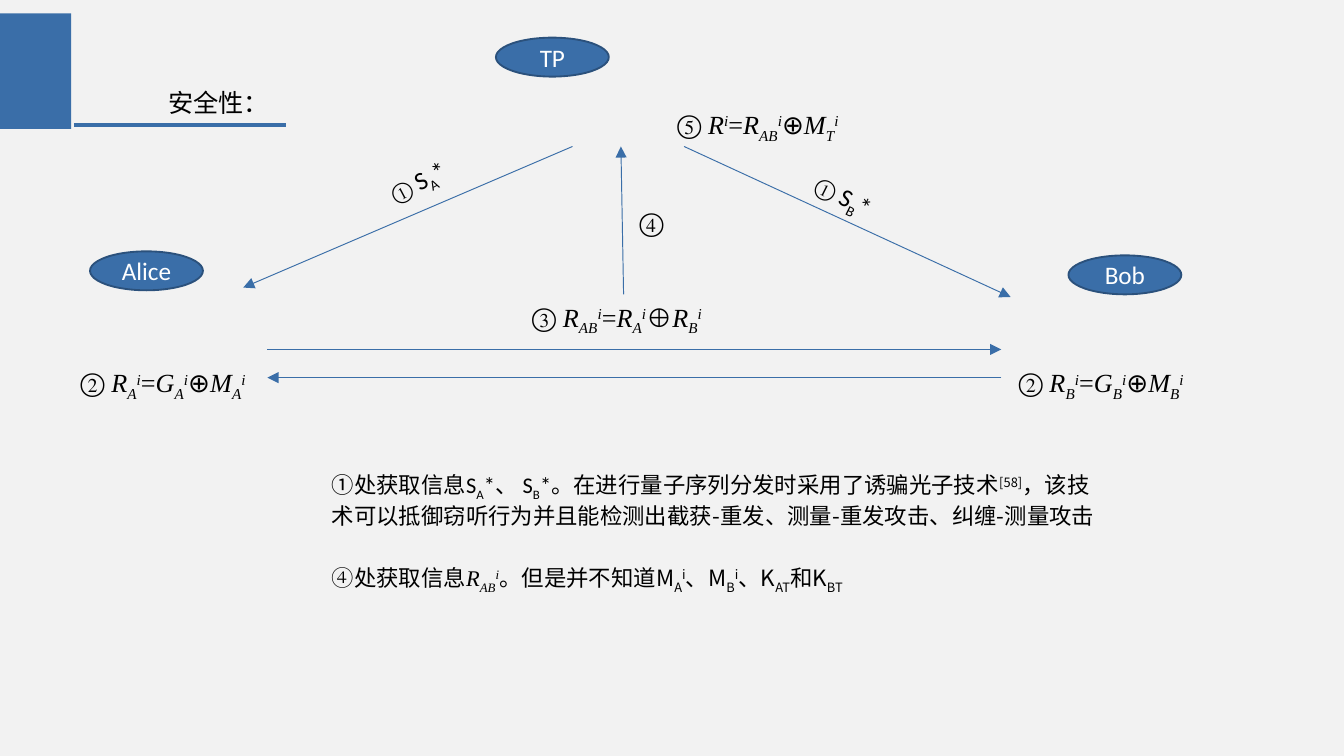
from dataclasses import dataclass

from lxml import etree
from pptx import Presentation
from pptx.dml.color import RGBColor
from pptx.enum import shapes, text
from pptx.oxml import ns
from pptx.util import Inches, Pt


@dataclass(frozen=True)
class Theme:
    background: RGBColor = RGBColor(0xF2, 0xF2, 0xF2)
    blue: RGBColor = RGBColor(0x3A, 0x6E, 0xA8)
    outline: RGBColor = RGBColor(0x2B, 0x51, 0x7C)
    black: RGBColor = RGBColor(0, 0, 0)
    white: RGBColor = RGBColor(0xFF, 0xFF, 0xFF)
    serif: str = "Times New Roman"
    sans: str = "Calibri"
    chinese: str = "Noto Sans CJK SC"
    formula: float = 14
    label: float = 13.5
    body: float = 12


THEME = Theme()
BASELINES = {"_": -25000, "^": 30000}


# Runs: (text, font name, size, flags); flags are i italic, _ sub, ^ super
def run(words, flags="", font=THEME.serif, size=THEME.formula):
    return words, font, size, flags


def variable(name, index="", font=THEME.serif, size=THEME.formula, italic="i"):
    """A symbol with its lower index and the upper index i."""
    parts = [run(name, italic, font, size)]
    if index:
        parts.append(run(index, italic + "_", font, size))
    return parts + [run("i", italic + "^", font, size)]


def sequence(index, size):
    return [run("S", "", THEME.sans, size), run(index, "_", THEME.sans, size),
            run("*", "", THEME.sans, size)]


def equation(number, result, left, right, plus_font=THEME.sans):
    return [run(number + " "), *variable(*result), run("="), *variable(*left),
            run("⊕", font=plus_font), *variable(*right)]


def fill_paragraph(paragraph, runs, color=THEME.black):
    for words, font, size, flags in runs:
        piece = paragraph.add_run()
        piece.text = words
        formats = {"name": font, "size": Pt(size), "italic": "i" in flags, "bold": False}
        for attribute, value in formats.items():
            setattr(piece.font, attribute, value)
        piece.font.color.rgb = color
        properties = piece._r.get_or_add_rPr()
        etree.SubElement(properties, ns.qn("a:ea"), typeface=font)
        for mark, shift in BASELINES.items():
            if mark in flags:
                properties.set("baseline", str(shift))


def place(shape, left, top, width, height):
    frame = {"left": left, "top": top, "width": width, "height": height}
    for attribute, value in frame.items():
        setattr(shape, attribute, Inches(value))


def add_text(slide, box, runs, wrap=False, rotation=0):
    shape = slide.shapes.add_textbox(*map(Inches, box))
    shape.rotation = rotation
    shape.text_frame.word_wrap = wrap
    fill_paragraph(shape.text_frame.paragraphs[0], runs)


def add_line(slide, start, end, width=0.5, arrow=True):
    line = slide.shapes.add_connector(
        shapes.MSO_CONNECTOR.STRAIGHT, *map(Inches, (*start, *end)))
    line.line.color.rgb = THEME.blue
    line.line.width = Pt(width)
    if arrow:
        etree.SubElement(line.line._get_or_add_ln(), ns.qn("a:tailEnd"), type="triangle")
    etree.SubElement(line._element.spPr, ns.qn("a:effectLst"))


def add_block(slide, kind, box):
    shape = slide.shapes.add_shape(kind, *map(Inches, box))
    shape.shadow.inherit = False
    shape.fill.solid()
    shape.fill.fore_color.rgb = THEME.blue
    shape.line.fill.background()
    return shape


def add_party(slide, name, left, top):
    shape = add_block(slide, shapes.MSO_SHAPE.OVAL, (left, top, 0.84, 0.29))
    shape.line.color.rgb = THEME.outline
    shape.line.width = Pt(1)
    formats = {"margin_left": 0, "margin_right": 0, "margin_top": 0, "margin_bottom": 0,
               "word_wrap": False, "vertical_anchor": text.MSO_ANCHOR.MIDDLE}
    for attribute, value in formats.items():
        setattr(shape.text_frame, attribute, value)
    paragraph = shape.text_frame.paragraphs[0]
    paragraph.alignment = text.PP_ALIGN.CENTER
    fill_paragraph(paragraph, [run(name, "", THEME.sans, THEME.label)], THEME.white)


def add_heading(slide):
    add_block(slide, shapes.MSO_SHAPE.RECTANGLE, (0, 0.1, 0.53, 0.86))
    title = slide.shapes.title
    place(title, 1.15, 0.6, 0.96, 0.33)
    formats = {"word_wrap": False, "vertical_anchor": text.MSO_ANCHOR.TOP,
               "auto_size": text.MSO_AUTO_SIZE.NONE}
    for attribute, value in formats.items():
        setattr(title.text_frame, attribute, value)
    paragraph = title.text_frame.paragraphs[0]
    paragraph.alignment = text.PP_ALIGN.LEFT
    fill_paragraph(paragraph, [run("安全性：", "", THEME.sans, THEME.label)])
    add_line(slide, (0.55, 0.93), (2.13, 0.93), 2.25, arrow=False)


def add_protocol(slide):
    # Parties
    for party in (("Alice", 0.67, 1.87), ("Bob", 7.95, 1.9), ("TP", 3.69, 0.28)):
        add_party(slide, *party)

    # Messages between them
    for start, end in (((4.26, 1.09), (1.81, 2.14)), ((5.09, 1.09), (7.52, 2.21)),
                       ((1.99, 2.6), (7.45, 2.6)), ((7.45, 2.81), (1.99, 2.81)),
                       ((4.64, 2.19), (4.62, 1.09))):
        add_line(slide, start, end)

    # Distributed sequences, along the slanted arrows
    for index, left, top, rotation in (("A", 2.79, 1.18, 332.3), ("B", 5.96, 1.3, 26.4)):
        runs = [run("① ", size=THEME.body), *sequence(index, THEME.label)]
        add_text(slide, (left, top, 0.66, 0.33), runs, rotation=rotation)

    # Computed values
    for index, left in (("A", 0.5), ("B", 7.48)):
        add_text(slide, (left, 2.68, 1.49, 0.34),
                 equation("②", ("R", index), ("G", index), ("M", index)))
    add_text(slide, (3.86, 2.19, 1.54, 0.34),
             equation("③", ("R", "AB"), ("R", "A"), ("R", "B"), THEME.serif))
    add_text(slide, (4.66, 1.49, 0.4, 0.34), [run("④")])
    add_text(slide, (4.94, 0.76, 1.46, 0.34),
             equation("⑤", ("R",), ("R", "AB"), ("M", "T")))


def add_analysis(slide):
    def chinese(words, flags=""):
        return run(words, flags, THEME.chinese, THEME.body)

    def upright(index):
        return variable("M", index, THEME.chinese, THEME.body, "")

    add_text(slide, (2.37, 3.46, 5.95, 0.5), [
        chinese("①处获取信息"), *sequence("A", THEME.body),
        run("、 ", "", THEME.sans, THEME.body), *sequence("B", THEME.body),
        chinese("。在进行量子序列分发时采用了诱骗光子技术"), chinese("[58]", "^"),
        chinese("，该技术可以抵御窃听行为并且能检测出截获-重发、测量-重发攻击、纠缠-测量攻击"),
    ], wrap=True)
    add_text(slide, (2.37, 4.15, 5.77, 0.3), [
        run("④", size=THEME.body), chinese("处获取信息"),
        *variable("R", "AB", size=THEME.body), chinese("。但是并不知道"),
        *upright("A"), chinese("、"), *upright("B"),
        chinese("、K"), chinese("AT", "_"), chinese("和K"), chinese("BT", "_"),
    ], wrap=True)


def main():
    presentation = Presentation()
    # Widescreen, 16 to 9
    presentation.slide_width = Inches(10)
    presentation.slide_height = Inches(10 * 9 / 16)
    slide = presentation.slides.add_slide(presentation.slide_layouts[5])
    slide.background.fill.solid()
    slide.background.fill.fore_color.rgb = THEME.background
    add_heading(slide)
    add_protocol(slide)
    add_analysis(slide)
    presentation.save("out.pptx")


if __name__ == "__main__":
    main()
